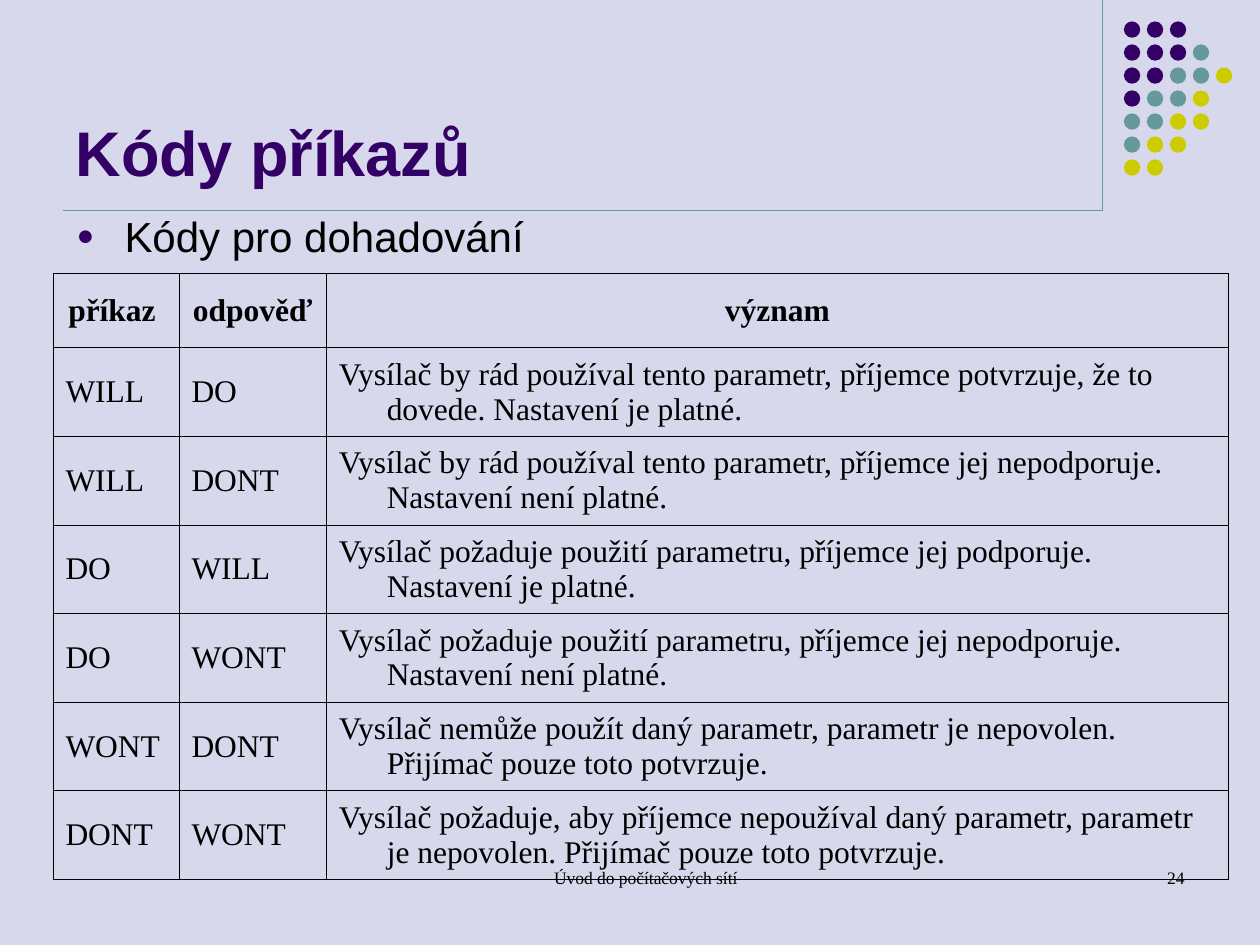
from lxml.etree import SubElement
from pptx import Presentation
from pptx.dml.color import RGBColor
from pptx.enum.shapes import MSO_CONNECTOR, MSO_SHAPE
from pptx.enum.text import MSO_ANCHOR as ANCHOR, PP_ALIGN as ALIGN
from pptx.oxml.ns import qn
from pptx.util import Inches, Pt

BACKGROUND = "D8D8EC"
PURPLE, TEAL, YELLOW, BLACK = "330066", "669999", "CCCC00", "000000"
SANS, SERIF = "Arial", "Times New Roman"
DOT_COLOURS = {"P": PURPLE, "T": TEAL, "Y": YELLOW}
DOT_ROWS = ["PPP", "PPPT", "PPTTY", "PTTY", "TTYY", "TYY", "YY"]
COLUMN_WIDTHS = [1, 1.17, 7.16]
HEADER_HEIGHT = 0.59
HANGING = 0.38

COMMANDS = [
    ("příkaz ", "odpověď ", "význam"),
    ("WILL", "DO", "Vysílač by rád používal tento parametr, příjemce potvrzuje, "
                   "že to dovede. Nastavení je platné."),
    ("WILL", "DONT", "Vysílač by rád používal tento parametr, příjemce jej "
                     "nepodporuje. Nastavení není platné."),
    ("DO", "WILL", "Vysílač požaduje použití parametru, příjemce jej podporuje. "
                   "Nastavení je platné."),
    ("DO", "WONT", "Vysílač požaduje použití parametru, příjemce jej "
                   "nepodporuje. Nastavení není platné."),
    ("WONT", "DONT", "Vysílač nemůže použít daný parametr, parametr je nepovolen. "
                     "Přijímač pouze toto potvrzuje."),
    ("DONT", "WONT", "Vysílač požaduje, aby příjemce nepoužíval daný parametr, "
                     "parametr je nepovolen. Přijímač pouze toto potvrzuje."),
]


def rgb(colour):
    return RGBColor.from_string(colour)


def write(frame, text, size, font, colour=BLACK, bold=False, align=ALIGN.LEFT):
    """Fill a text frame with one formatted paragraph and return it."""
    frame.text = text
    frame.word_wrap = True
    paragraph = frame.paragraphs[0]
    paragraph.alignment = align
    style = paragraph.runs[0].font
    style.size, style.name, style.bold = Pt(size), font, bold
    style.color.rgb = rgb(colour)
    return paragraph


def indent(paragraph, margin, first_line):
    properties = paragraph._p.get_or_add_pPr()
    properties.set("marL", str(Inches(margin)))
    properties.set("indent", str(Inches(first_line)))
    return properties


def add_rule(slide, x1, y1, x2, y2):
    rule = slide.shapes.add_connector(
        MSO_CONNECTOR.STRAIGHT, Inches(x1), Inches(y1), Inches(x2), Inches(y2))
    rule.line.color.rgb = rgb(TEAL)
    rule.line.width = Pt(0.75)
    SubElement(rule._element.spPr, qn("a:effectLst"))


def add_dots(slide, left, top, width):
    """Draw the dot ornament, its widest row filling the given width."""
    diameter = 0.13
    pitch = (width - diameter) / (max(map(len, DOT_ROWS)) - 1)
    for row, codes in enumerate(DOT_ROWS):
        for column, code in enumerate(codes):
            dot = slide.shapes.add_shape(
                MSO_SHAPE.OVAL,
                Inches(left + column * pitch), Inches(top + row * pitch),
                Inches(diameter), Inches(diameter))
            dot.shadow.inherit = False
            dot.fill.solid()
            dot.fill.fore_color.rgb = rgb(DOT_COLOURS[code])
            dot.line.fill.background()


def place_title(slide, left, top, width, height):
    title = slide.shapes.title
    title.left, title.top = Inches(left), Inches(top)
    title.width, title.height = Inches(width), Inches(height)
    write(title.text_frame, "Kódy příkazů", 36, SANS, PURPLE, bold=True)
    title.text_frame.vertical_anchor = ANCHOR.BOTTOM


def add_text_box(slide, left, top, width, height):
    return slide.shapes.add_textbox(
        Inches(left), Inches(top), Inches(width), Inches(height)).text_frame


def add_bullet(slide, left, top, width, height):
    frame = add_text_box(slide, left, top, width, height)
    paragraph = write(frame, "Kódy pro dohadování", 24, SANS)
    paragraph.space_before = Pt(6)
    properties = indent(paragraph, HANGING, -HANGING)
    colour = SubElement(properties, qn("a:buClr"))
    SubElement(colour, qn("a:srgbClr"), val=PURPLE)
    SubElement(properties, qn("a:buSzPct"), val="70000")
    SubElement(properties, qn("a:buFont"), typeface=SANS)
    SubElement(properties, qn("a:buChar"), char="●")


def outline_cell(cell):
    properties = cell._tc.get_or_add_tcPr()
    for side in ("lnL", "lnR", "lnT", "lnB"):
        border = SubElement(properties, qn(f"a:{side}"), w=str(Pt(0.34)))
        fill = SubElement(border, qn("a:solidFill"))
        SubElement(fill, qn("a:srgbClr"), val=BLACK)


def add_command_table(slide, left, top, width, height):
    table = slide.shapes.add_table(
        len(COMMANDS), len(COLUMN_WIDTHS),
        Inches(left), Inches(top), Inches(width), Inches(height)).table
    table.first_row = table.horz_banding = False
    for column, share in zip(table.columns, COLUMN_WIDTHS):
        column.width = Inches(width * share / sum(COLUMN_WIDTHS))
    row_height = (height - HEADER_HEIGHT) / (len(COMMANDS) - 1)
    for index, texts in enumerate(COMMANDS):
        header = index == 0
        table.rows[index].height = Inches(HEADER_HEIGHT if header else row_height)
        for cell, text in zip(table.rows[index].cells, texts):
            paragraph = write(cell.text_frame, text, 18, SERIF, bold=header,
                              align=ALIGN.CENTER if header else ALIGN.LEFT)
            indent(paragraph, HANGING, -HANGING)
            cell.vertical_anchor = ANCHOR.MIDDLE
            outline_cell(cell)
            cell.fill.background()


def add_footer(slide, text, align, left, top, width, height):
    frame = add_text_box(slide, left, top, width, height)
    indent(write(frame, text, 10, SERIF, align=align), 0.24, 0)


def main():
    deck = Presentation()
    deck.slide_width, deck.slide_height = Inches(10), Inches(7.5)
    slide = deck.slides.add_slide(deck.slide_layouts[5])
    slide.background.fill.solid()
    slide.background.fill.fore_color.rgb = rgb(BACKGROUND)

    add_rule(slide, 8.75, 0, 8.75, 1.67)
    add_dots(slide, 8.92, 0.17, 0.86)
    add_rule(slide, 0.5, 1.67, 8.75, 1.67)
    place_title(slide, 0.5, 0.13, 8.25, 1.42)
    add_bullet(slide, 0.51, 1.62, 4.42, 0.67)
    add_command_table(slide, 0.42, 2.17, 9.33, 4.81)
    add_footer(slide, "Úvod do počítačových sítí", ALIGN.CENTER, 3.42, 6.83, 3.17, 0.5)
    add_footer(slide, "24", ALIGN.RIGHT, 7.17, 6.83, 2.33, 0.5)
    deck.save("out.pptx")


if __name__ == "__main__":
    main()
